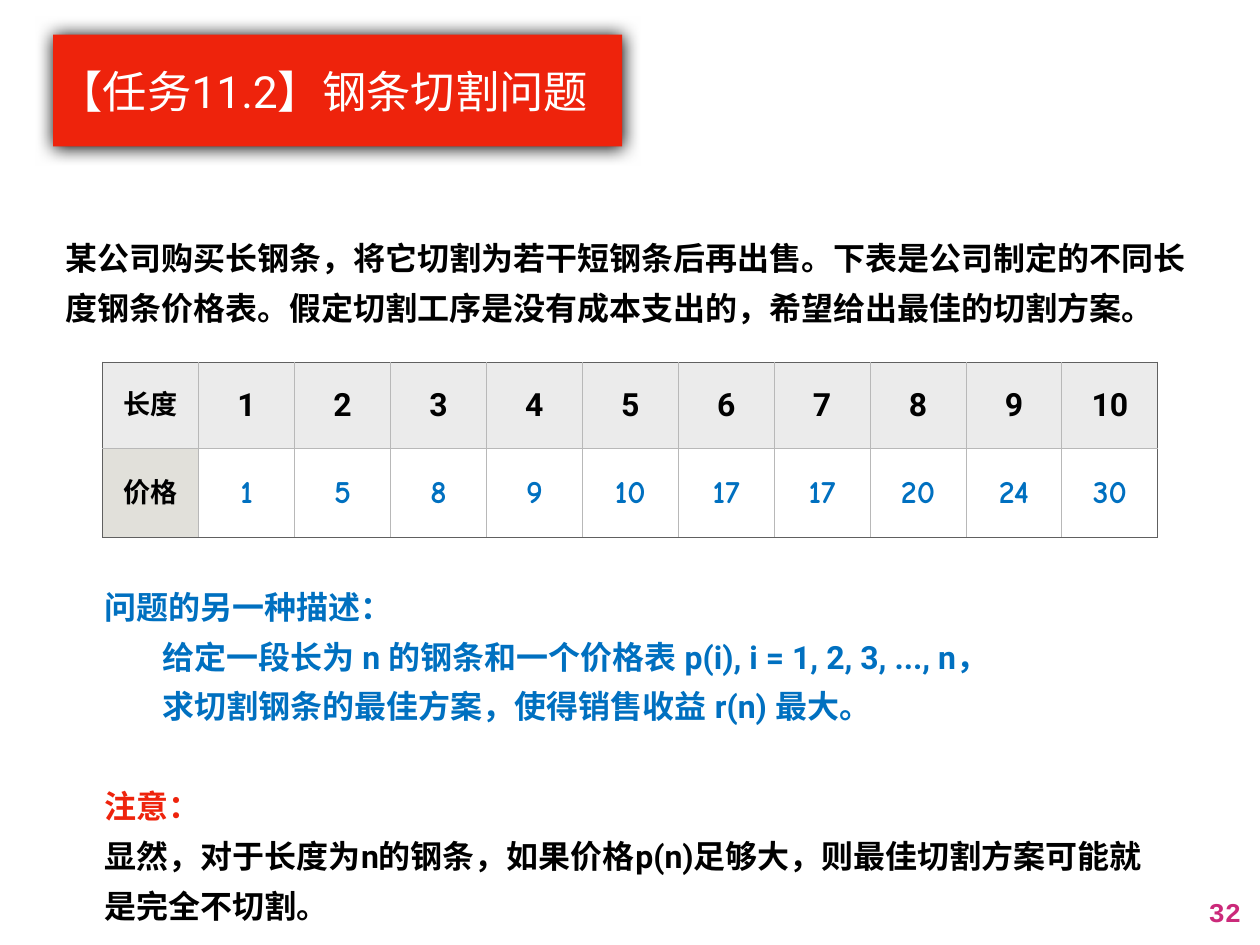
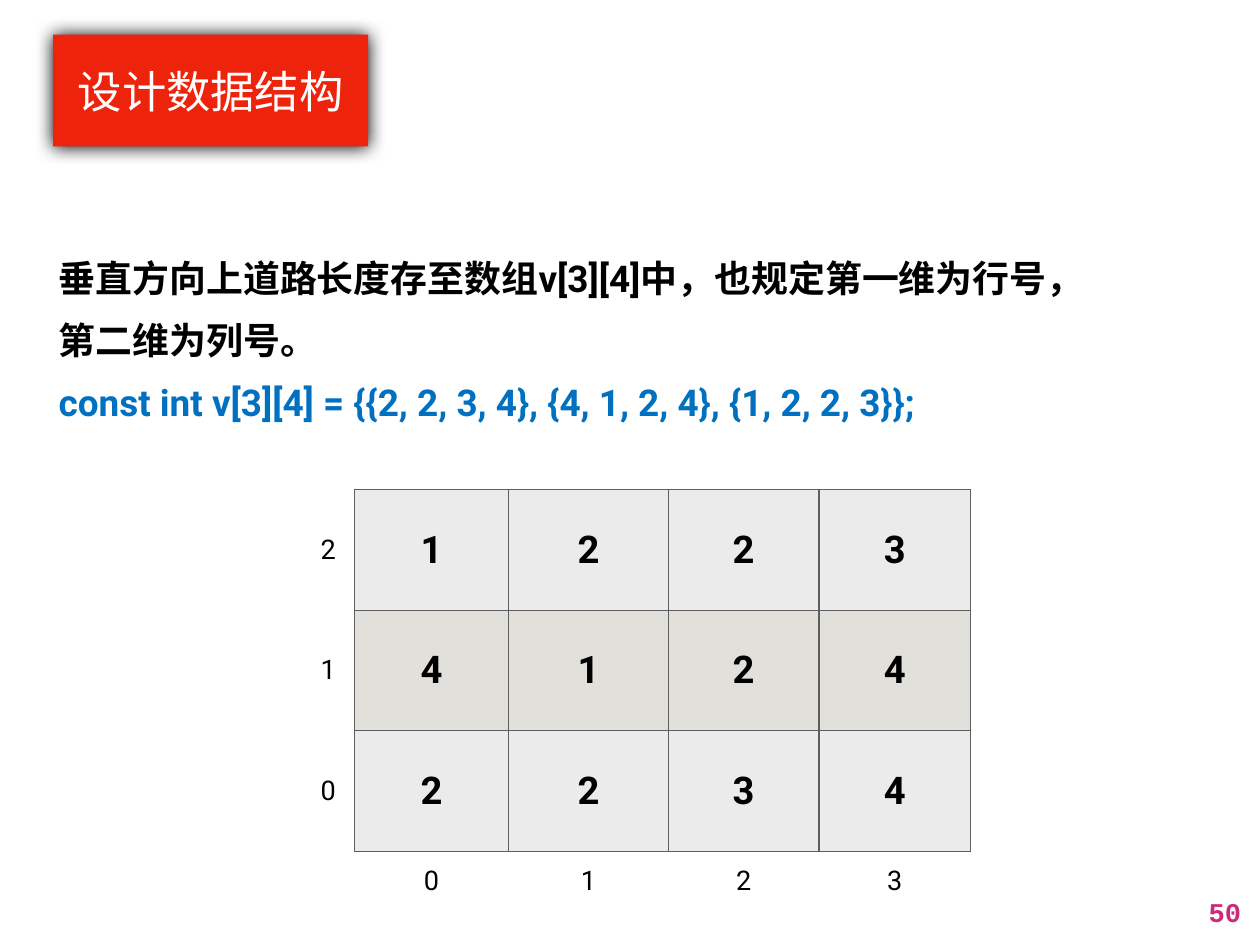
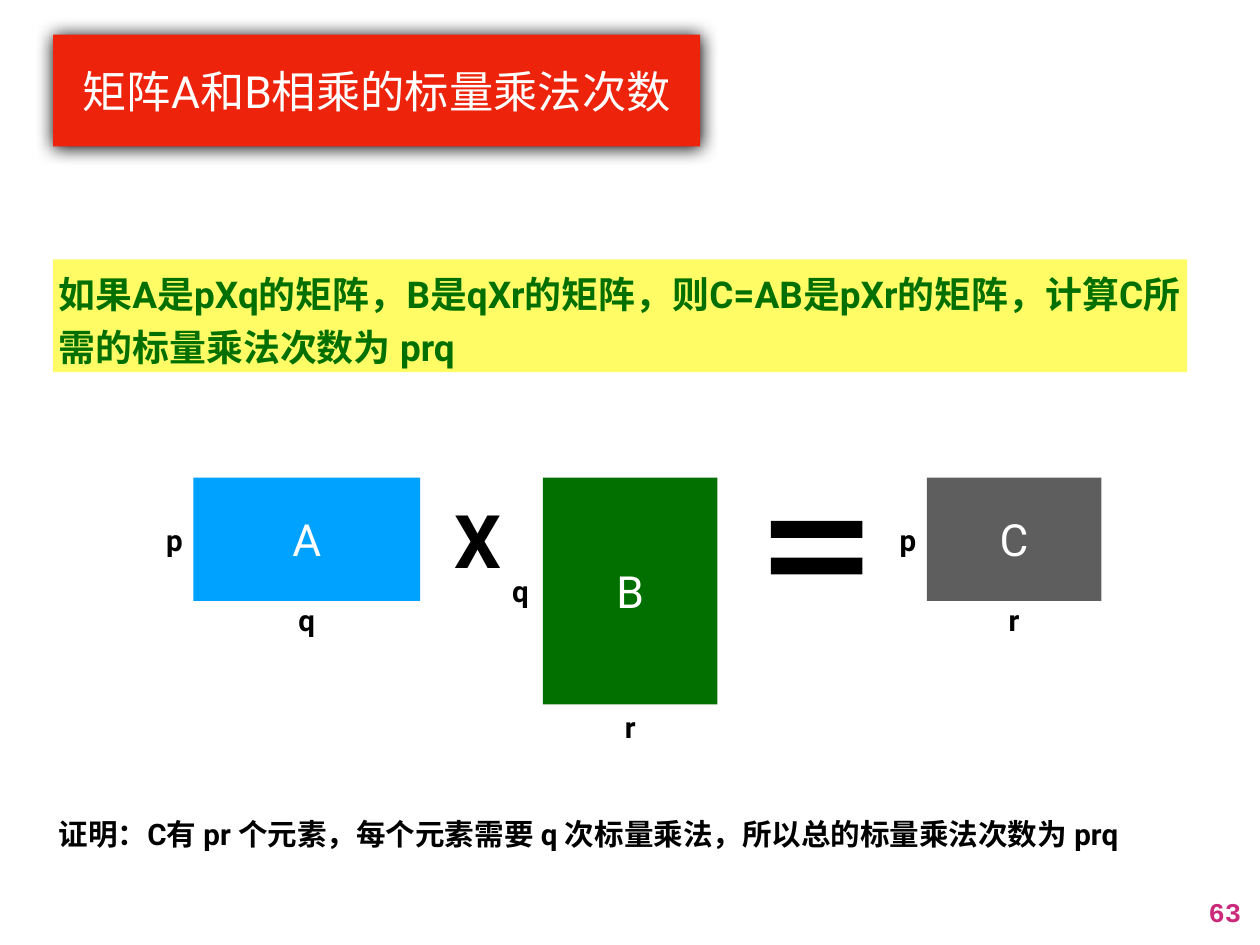
import dataclasses
import itertools

import pptx
import pptx.dml.color
import pptx.enum.shapes
import pptx.enum.text
import pptx.oxml
import pptx.oxml.ns
import pptx.util
from lxml import etree

ALIGN = pptx.enum.text.PP_ALIGN
ANCHOR = pptx.enum.text.MSO_ANCHOR
RECT = pptx.enum.shapes.MSO_SHAPE.RECTANGLE
qn = pptx.oxml.ns.qn

# The slide is a grid of 32 columns by 24 rows of square cells.
COLS, ROWS, CELL_PT = 32, 24, 32


@dataclasses.dataclass(frozen=True)
class Theme:
    font: str = "Roboto"
    number_font: str = "Courier New"
    price_font: str = "Comic Neue"
    black: str = "000000"
    white: str = "FFFFFF"
    red: str = "EE230C"
    blue: str = "0070C0"
    sky: str = "00A2FF"
    green: str = "027001"
    yellow: str = "FFFC66"
    pink: str = "CB2A7A"
    head: str = "EBEBEB"
    band: str = "E1E0DA"
    edge: str = "606060"
    rule: str = "B8B8B8"
    slate: str = "5E5E5E"
    small: int = 22
    label: int = 24
    body: int = 26
    digit: int = 31
    lead: int = 30
    title: int = 36
    sign: int = 60
    inset: float = 0.14


T = Theme()


def grid(n):
    return pptx.util.Pt(n * CELL_PT)


def rgb(color):
    return pptx.dml.color.RGBColor.from_string(color)


def set_all(obj, values):
    for name, value in values.items():
        setattr(obj, name, value)


def write(tf, paragraphs, size, color=T.black, bold=True, font=T.font,
          align=ALIGN.LEFT, spacing=None, wrap=True, anchor=ANCHOR.MIDDLE):
    """Fill a text frame; a paragraph is a string or (string, changes)."""
    sides = ("left", "top", "right", "bottom")
    set_all(tf, {"word_wrap": wrap, "vertical_anchor": anchor,
                 **{f"margin_{side}": grid(T.inset) for side in sides}})
    for i, item in enumerate(paragraphs):
        text, changes = (item, {}) if isinstance(item, str) else item
        p = tf.add_paragraph() if i else tf.paragraphs[0]
        set_all(p, {"alignment": align, "line_spacing": spacing,
                    "space_before": pptx.util.Pt(changes.get("before", 0))})
        if "indent" in changes:
            p._p.get_or_add_pPr().set("marL", str(grid(changes["indent"])))
        r = p.add_run()
        r.text = text
        set_all(r.font, {"name": font, "size": pptx.util.Pt(size), "bold": bold})
        r.font.color.rgb = rgb(changes.get("color", color))
        ea = etree.SubElement(r._r.get_or_add_rPr(), qn("a:ea"))
        ea.set("typeface", font)


def add_text(s, box, paragraphs, size, **fmt):
    sp = s.shapes.add_textbox(*map(grid, box))
    write(sp.text_frame, paragraphs, size, **fmt)


def add_rect(s, box, fill):
    sp = s.shapes.add_shape(RECT, *map(grid, box))
    sp.shadow.inherit = False
    sp.fill.solid()
    sp.fill.fore_color.rgb = rgb(fill)
    sp.line.fill.background()
    return sp


def add_shadow(sp):
    effects = sp._element.spPr.find(qn("a:effectLst"))
    shadow = etree.SubElement(effects, qn("a:outerShdw"), blurRad="190500",
                              dist="8890", dir="5400000", rotWithShape="0")
    etree.SubElement(shadow, qn("a:srgbClr"), val=T.black)


def add_frame(prs, title, title_width, number, align=ALIGN.CENTER):
    """Start a slide with its red title block and page number."""
    s = prs.slides.add_slide(prs.slide_layouts[6])
    add_text(s, (30.49, 22.59, 1.17, 1.13), [number], T.small, color=T.pink,
             font=T.number_font, align=ALIGN.RIGHT, wrap=False,
             anchor=ANCHOR.TOP)
    sp = add_rect(s, (1.35, 0.88, title_width, 2.84), T.red)
    add_shadow(sp)
    write(sp.text_frame, [title], T.title, color=T.white, bold=False,
          align=align)
    return s


def set_edges(cell, edges):
    """Draw the sides named in edges (L, R, T, B) and clear the others."""
    tcPr = cell._tc.get_or_add_tcPr()
    for i, side in enumerate("LRTB"):
        ln = etree.Element(qn(f"a:ln{side}"), w="12700")
        if side in edges:
            fill = etree.SubElement(ln, qn("a:solidFill"))
            etree.SubElement(fill, qn("a:srgbClr"), val=edges[side])
        else:
            etree.SubElement(ln, qn("a:noFill"))
        tcPr.insert(i, ln)


def add_grid_table(s, left, top, widths, heights, texts, style):
    """Add a table; style(row, column) gives text format, fill and edges."""
    shape = s.shapes.add_table(len(heights), len(widths), *map(
        grid, (left, top, sum(widths), sum(heights))))
    table = shape.table
    set_all(table, {"first_row": False, "horz_banding": False})
    for column, width in zip(table.columns, widths):
        column.width = grid(width)
    for row, height in zip(table.rows, heights):
        row.height = grid(height)
    for r, c in itertools.product(range(len(heights)), range(len(widths))):
        fmt, fill, edges = style(r, c)
        cell = table.cell(r, c)
        if texts[r][c]:
            write(cell.text_frame, [texts[r][c]], align=ALIGN.CENTER, **fmt)
        sides = ("left", "top", "right", "bottom")
        set_all(cell, {"vertical_anchor": ANCHOR.MIDDLE,
                       **{f"margin_{side}": grid(T.inset) for side in sides}})
        if fill:
            cell.fill.solid()
            cell.fill.fore_color.rgb = rgb(fill)
        else:
            cell.fill.background()
        set_edges(cell, edges)


def add_price_table(s, left, top, width):
    texts = [["长度", *map(str, range(1, 11))],
             ["价格", "1", "5", "8", "9", "10", "17", "17", "20", "24", "30"]]
    count = len(texts[0])

    def style(r, c):
        outer = {"L": c == 0, "R": c == count - 1, "T": r == 0, "B": r == 1}
        edges = {k: T.edge if out else T.rule for k, out in outer.items()}
        if c == 0:
            return {"size": T.small}, (T.head, T.band)[r], edges
        if r == 0:
            return {"size": T.body}, T.head, edges
        price = {"size": T.body, "font": T.price_font, "color": T.blue}
        return price, None, edges

    add_grid_table(s, left, top, [width / count] * count, [2.18, 2.28],
                   texts, style)


def add_array_table(s, left, top):
    texts = ["21223", "14124", "02234", ["", "0", "1", "2", "3"]]

    def style(r, c):
        if c and r < 3:
            fill = T.band if r % 2 else T.head
            return {"size": T.digit}, fill, dict.fromkeys("LRTB", T.slate)
        side = "R" if r < 3 else "T" if c else ""
        index = {"size": T.small, "bold": False}
        return index, None, dict.fromkeys(side, T.slate)

    add_grid_table(s, left, top, [1.33, 3.92, 4.05, 3.83, 3.85],
                   [3.06] * 3 + [1.51], texts, style)


def add_matrix(s, name, left, top, rows, cols, fill, gap):
    """Draw a matrix block with its dimension letters left and below."""
    sides = {"p": 3.13, "q": 5.76, "r": 4.43}
    width, height = sides[cols], sides[rows]
    sp = add_rect(s, (left, top, width, height), fill)
    write(sp.text_frame, [name], T.title, color=T.white, bold=False,
          align=ALIGN.CENTER)
    label_w, label_h = 0.75, 1.13
    centres = {rows: (left - gap, top + height / 2),
               cols: (left + width / 2, top + height + gap)}
    for letter, (x, y) in centres.items():
        add_text(s, (x - label_w / 2, y - label_h / 2, label_w, label_h),
                 [letter], T.label, align=ALIGN.CENTER, wrap=False)


def add_product(s, top):
    add_matrix(s, "A", 4.91, top, "p", "q", T.sky, 0.48)
    add_matrix(s, "B", 13.79, top, "q", "r", T.green, 0.57)
    add_matrix(s, "C", 23.54, top, "p", "r", T.slate, 0.48)
    add_text(s, (11.41, top + 0.31, 1.53, 2.5), ["X"], T.sign, wrap=False)
    for bar in range(2):
        add_rect(s, (19.58, top + 1.1 + bar * 0.93, 2.32, 0.43), T.black)


def rod_cutting_slide(prs):
    s = add_frame(prs, "【任务11.2】钢条切割问题", 14.45, "32", ALIGN.LEFT)
    add_text(s, (1.53, 5.69, 28.96, 2.68), [
        "某公司购买长钢条，将它切割为若干短钢条后再出售。下表是公司制定的"
        "不同长度钢条价格表。假定切割工序是没有成本支出的，希望给出最佳的"
        "切割方案。"], T.body, spacing=1.3)
    add_price_table(s, 2.61, 9.2, 26.8)
    step = {"color": T.blue, "indent": 1.46}
    add_text(s, (2.52, 14.51, 27.36, 9.09), [
        ("问题的另一种描述：", {"color": T.blue}),
        ("给定一段长为 n 的钢条和一个价格表 p(i), i = 1, 2, 3, ..., n，", step),
        ("求切割钢条的最佳方案，使得销售收益 r(n) 最大。", step),
        ("注意：", {"color": T.red, "before": 40.6}),
        "显然，对于长度为n的钢条，如果价格p(n)足够大，则最佳切割方案可能"
        "就是完全不切割。"], T.body, spacing=1.3)


def data_structure_slide(prs):
    s = add_frame(prs, "设计数据结构", 8, "50")
    add_text(s, (1.35, 5.99, 26.75, 4.84), [
        "垂直方向上道路长度存至数组v[3][4]中，也规定第一维为行号，"
        "第二维为列号。",
        ("const int v[3][4] = {{2, 2, 3, 4}, {4, 1, 2, 4}, {1, 2, 2, 3}};",
         {"color": T.blue})], T.lead, spacing=1.4)
    add_array_table(s, 7.67, 12.44)


def matrix_product_slide(prs):
    s = add_frame(prs, "矩阵A和B相乘的标量乘法次数", 16.43, "63")
    sp = add_rect(s, (1.35, 6.59, 28.8, 2.86), T.yellow)
    write(sp.text_frame, [
        "如果A是pXq的矩阵，B是qXr的矩阵，则C=AB是pXr的矩阵，"
        "计算C所需的标量乘法次数为 prq"], T.lead, color=T.green, spacing=1.2)
    add_product(s, 12.13)
    add_text(s, (1.35, 20.59, 27.77, 1.17), [
        "证明：C有 pr 个元素，每个元素需要 q 次标量乘法，"
        "所以总的标量乘法次数为 prq"], T.label)


def main():
    prs = pptx.Presentation()
    set_all(prs, {"slide_width": grid(COLS), "slide_height": grid(ROWS)})
    for build in (rod_cutting_slide, data_structure_slide,
                  matrix_product_slide):
        build(prs)
    prs.save("out.pptx")


if __name__ == "__main__":
    main()
